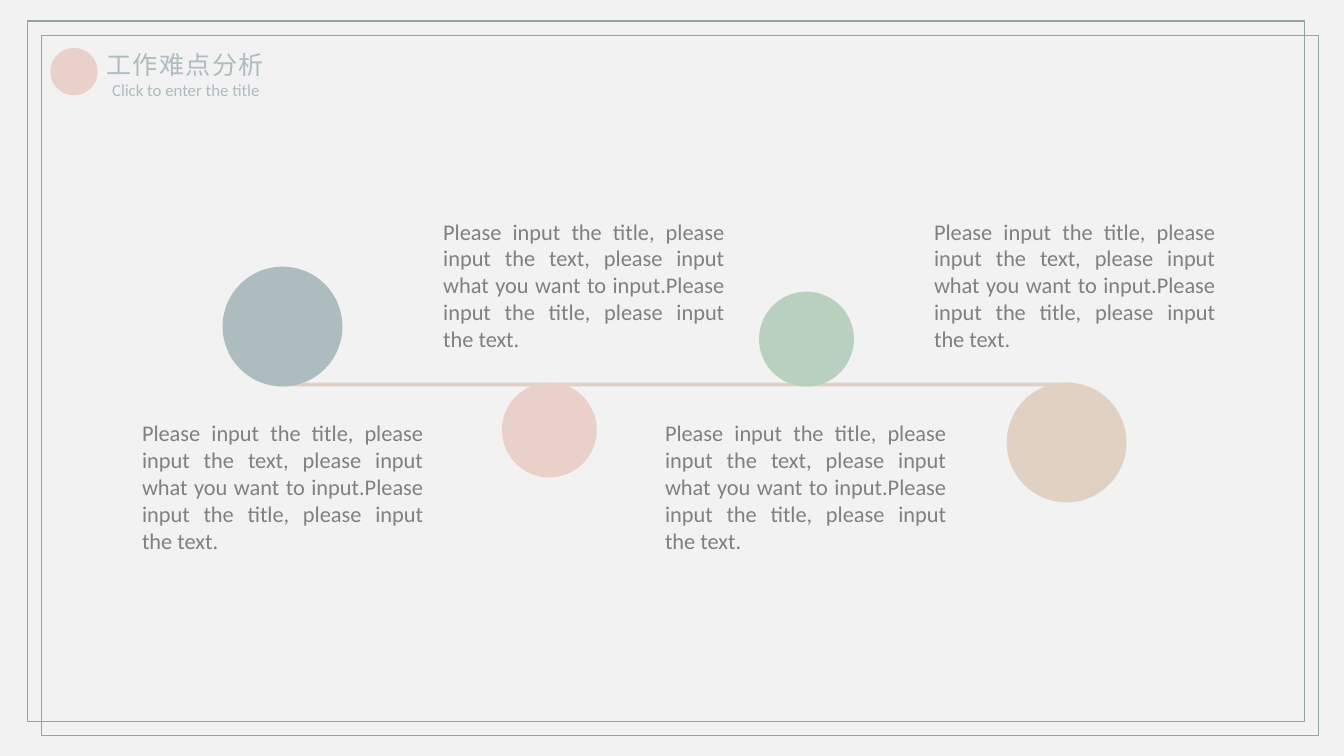
from dataclasses import dataclass

from lxml.etree import SubElement
from pptx import Presentation
from pptx.dml.color import RGBColor
from pptx.enum.shapes import MSO_SHAPE
from pptx.enum.text import MSO_ANCHOR, MSO_AUTO_SIZE, PP_ALIGN
from pptx.oxml.ns import qn
from pptx.util import Cm, Pt


@dataclass(frozen=True)
class Theme:
    background: str = "F2F2F2"
    frame: str = "91A5A7"
    blue: str = "ADBCBE"
    pink: str = "E9D1C9"
    green: str = "B8D1BE"
    sand: str = "E1D1C2"
    body: str = "808080"
    latin: str = "Calibri"
    cjk: str = "Noto Sans CJK JP"
    title_size: int = 18
    subtitle_size: int = 12
    body_size: int = 16


class Deck:
    def __init__(self, theme):
        self.theme = theme
        self.prs = Presentation()
        self.prs.slide_width, self.prs.slide_height = Cm(33.87), Cm(19.05)

    def add_slide(self):
        self.s = self.prs.slides.add_slide(self.prs.slide_layouts[5])
        fill = self.s.background.fill
        fill.solid()
        fill.fore_color.rgb = RGBColor.from_string(self.theme.background)

    def style_run(self, r, size, color, name):
        r.font.size = Pt(size)
        r.font.name = name
        r.font.color.rgb = RGBColor.from_string(color)

    def shape(self, kind, x, y, w, h, fill=None, line=None):
        sp = self.s.shapes.add_shape(kind, Cm(x), Cm(y), Cm(w), Cm(h))
        sp.shadow.inherit = False
        if fill:
            sp.fill.solid()
            sp.fill.fore_color.rgb = RGBColor.from_string(fill)
        else:
            sp.fill.background()
        if line:
            sp.line.color.rgb = RGBColor.from_string(line)
            sp.line.width = Pt(1)
        else:
            sp.line.fill.background()
        return sp

    def circle(self, x, y, size, color):
        return self.shape(MSO_SHAPE.OVAL, x, y, size, size, fill=color)

    def title(self, heading, subtitle, x, y, w, h):
        t = self.theme
        sp = self.s.shapes.title
        sp.left, sp.top, sp.width, sp.height = Cm(x), Cm(y), Cm(w), Cm(h)
        tf = sp.text_frame
        tf.word_wrap = True
        tf.auto_size = MSO_AUTO_SIZE.SHAPE_TO_FIT_TEXT
        tf.vertical_anchor = MSO_ANCHOR.TOP
        p = tf.paragraphs[0]
        p.text = f"{heading}\v{subtitle}"
        p.alignment = PP_ALIGN.CENTER
        top, bottom = p.runs
        self.style_run(top, t.title_size, t.blue, t.cjk)
        self.style_run(bottom, t.subtitle_size, t.blue, t.latin)
        rPr = top._r.get_or_add_rPr()
        rPr.set("spc", "100")
        SubElement(rPr, qn("a:ea")).set("typeface", t.cjk)

    def text(self, words, x, y, w, h):
        t = self.theme
        tf = self.s.shapes.add_textbox(Cm(x), Cm(y), Cm(w), Cm(h)).text_frame
        tf.word_wrap = True
        tf.auto_size = MSO_AUTO_SIZE.SHAPE_TO_FIT_TEXT
        tf.text = words
        p = tf.paragraphs[0]
        p.alignment = PP_ALIGN.JUSTIFY
        self.style_run(p.runs[0], t.body_size, t.body, t.latin)


BODY = ("Please input the title, please input the text, please input what you "
        "want to input.Please input the title, please input the text.")
BAR_TOP, BAR_HEIGHT = 9.64, 0.1
LARGE, SMALL = 3.02, 2.39
TEXT_ABOVE, TEXT_BELOW = 5.36, 10.44


def main():
    theme = Theme()
    deck = Deck(theme)
    deck.add_slide()

    for shift in (0, 0.36):
        deck.shape(MSO_SHAPE.RECTANGLE, 0.69 + shift, 0.53 + shift, 32.18, 17.65,
                   line=theme.frame)
    deck.circle(1.27, 1.21, 1.19, theme.pink)
    deck.title("工作难点分析", "Click to enter the title", 2.16, 1.12, 5.05, 1.52)

    bar = deck.shape(MSO_SHAPE.ROUNDED_RECTANGLE, 6.95, BAR_TOP, 20, BAR_HEIGHT,
                     fill=theme.sand)
    bar.adjustments[0] = 0.5

    # Circles alternate above and below the bar, each text on the other side.
    steps = [
        (5.61, LARGE, theme.blue, 3.33),
        (12.65, SMALL, theme.pink, 10.92),
        (19.13, SMALL, theme.green, 16.51),
        (25.37, LARGE, theme.sand, 23.29),
    ]
    for i, (x, size, color, text_x) in enumerate(steps):
        above = i % 2 == 0
        deck.circle(x, BAR_TOP + BAR_HEIGHT - size if above else BAR_TOP, size, color)
        deck.text(BODY, text_x, TEXT_BELOW if above else TEXT_ABOVE, 7.59, 3.68)

    deck.prs.save("out.pptx")


if __name__ == "__main__":
    main()
